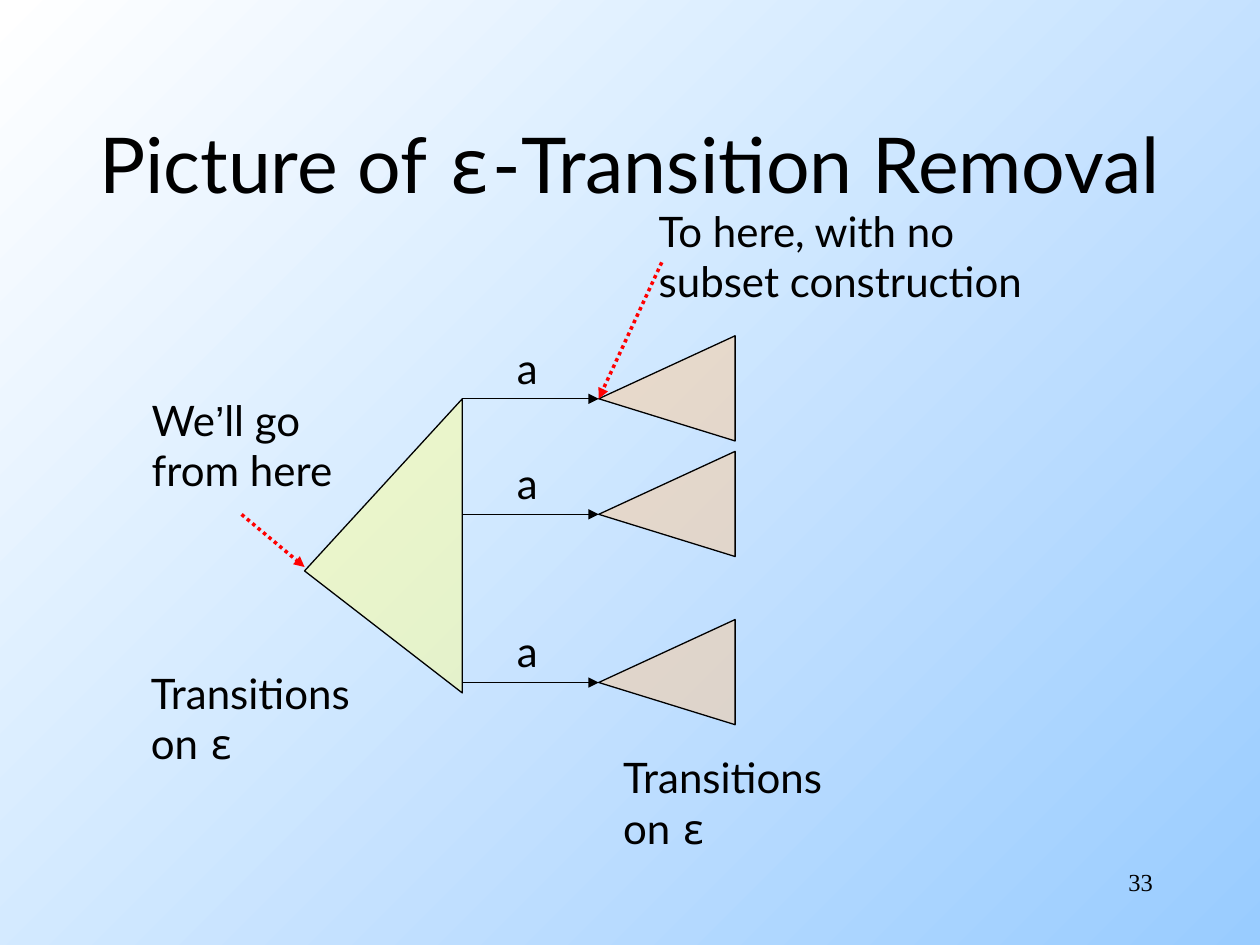
from dataclasses import dataclass
from itertools import groupby

from lxml.etree import SubElement
from pptx import Presentation
from pptx.dml.color import RGBColor
from pptx.enum.dml import MSO_LINE
from pptx.enum.shapes import MSO_CONNECTOR
from pptx.enum.text import MSO_ANCHOR, PP_ALIGN
from pptx.oxml.ns import qn
from pptx.util import Cm, Pt


@dataclass(frozen=True)
class Theme:
    ink: str = "000000"
    accent: str = "FF0000"
    closure: str = "FFFF99"
    target: str = "FFCC99"
    backdrop: tuple = ("FFFFFF", "99CCFF")
    font: str = "Lato"
    symbol_fonts: tuple = (("ε", "Noto Sans Mono"), ("’", "Arial"))
    number_font: str = "Times New Roman"
    title_size: int = 44
    body_size: int = 24
    number_size: int = 14
    thin: float = 0.75
    thick: float = 2


THEME = Theme()


def color(code):
    return RGBColor.from_string(code)


def add_text(page, box, lines, size=THEME.body_size, font=THEME.font,
             align=PP_ALIGN.LEFT, anchor=MSO_ANCHOR.TOP):
    """Write one paragraph per line, giving special symbols their own font."""
    frame = page.shapes.add_textbox(*map(Cm, box)).text_frame
    frame.word_wrap = True
    frame.vertical_anchor = anchor
    symbols = dict(THEME.symbol_fonts)
    for index, line in enumerate(lines):
        para = frame.add_paragraph() if index else frame.paragraphs[0]
        para.alignment = align
        for name, letters in groupby(line, lambda letter: symbols.get(letter, font)):
            span = para.add_run()
            span.text = "".join(letters)
            span.font.name = name
            span.font.size = Pt(size)
            span.font.color.rgb = color(THEME.ink)


def add_arrow(page, start, end, tint=THEME.ink, width=THEME.thin, dash=None):
    arrow = page.shapes.add_connector(MSO_CONNECTOR.STRAIGHT, *map(Cm, start + end))
    arrow.line.color.rgb = color(tint)
    arrow.line.width = Pt(width)
    if dash:
        arrow.line.dash_style = dash
    properties = arrow.line._get_or_add_ln()
    SubElement(properties, qn("a:tailEnd"), type="triangle")
    SubElement(arrow._element.spPr, qn("a:effectLst"))


def add_state_set(page, box, apex, tint):
    """Draw a half-transparent triangle whose left tip lies apex below the top."""
    left, top, width, height = box
    builder = page.shapes.build_freeform(Cm(left), Cm(top + apex), scale=1.0)
    right = Cm(left + width)
    builder.add_line_segments([(right, Cm(top)), (right, Cm(top + height))], close=True)
    triangle = builder.convert_to_shape()
    triangle.shadow.inherit = False
    triangle.fill.solid()
    triangle.fill.fore_color.rgb = color(tint)
    solid = triangle._element.spPr.find(qn("a:solidFill"))
    SubElement(solid[0], qn("a:alpha"), val="50000")
    triangle.line.color.rgb = color(THEME.ink)
    triangle.line.width = Pt(THEME.thin)


def add_branch(page, box):
    """Draw a transition on a, leading to a set of states."""
    left, top, width, height = box
    apex, middle = 1.27, left + width / 2
    add_arrow(page, (left, top + apex), (middle, top + apex))
    add_text(page, (left + 0.85, top, 0.97, 1.27), ["a"])
    add_state_set(page, (middle, top, width / 2, height), apex, THEME.target)


def add_callout(page, box, lines, start, end):
    """Place a note and a dotted pointer, with its ends relative to the box."""
    left, top = box[:2]
    add_arrow(page, (left + start[0], top + start[1]), (left + end[0], top + end[1]),
              THEME.accent, THEME.thick, MSO_LINE.ROUND_DOT)
    add_text(page, box, lines)


def add_diagram(page, box):
    left, top, width, height = box
    closure_width, closure_top = 3.18, top + 1.27
    add_state_set(page, (left, closure_top, closure_width, 5.93), 3.47, THEME.closure)
    for offset in (0, 2.33, 5.72):
        add_branch(page, (left + closure_width, top + offset, width - closure_width, 2.12))
    caption = ["Transitions", "on ε"]
    for across, down in ((-3.35, 6.56), (6.17, 8.26)):
        add_text(page, (left + across, top + down, 4.9, 2.29), caption)


def add_backdrop(page):
    fill = page.background.fill
    fill.gradient()
    fill.gradient_angle = 315
    for stop, tint in zip(fill.gradient_stops, THEME.backdrop):
        stop.color.rgb = color(tint)


def main():
    deck = Presentation()
    deck.slide_width, deck.slide_height = Cm(25.4), Cm(19.05)
    page = deck.slides.add_slide(deck.slide_layouts[6])
    add_backdrop(page)
    add_text(page, (0, 1.69, 25.4, 3.18), ["Picture of ε-Transition Removal"],
             THEME.title_size, align=PP_ALIGN.CENTER, anchor=MSO_ANCHOR.MIDDLE)
    add_diagram(page, (6.14, 6.77, 8.68, 7.84))
    add_callout(page, (2.81, 7.83, 4.5, 2.29), ["We’ll go", "from here"],
                (2.06, 2.54), (3.33, 3.6))
    add_callout(page, (13.03, 4.02, 8.36, 2.29),
                ["To here, with no", "subset construction"], (0.31, 1.27), (-0.96, 4.02))
    add_text(page, (18.2, 17.36, 5.29, 1.27), ["33"], THEME.number_size,
             THEME.number_font, PP_ALIGN.RIGHT)
    deck.save("out.pptx")


if __name__ == "__main__":
    main()
